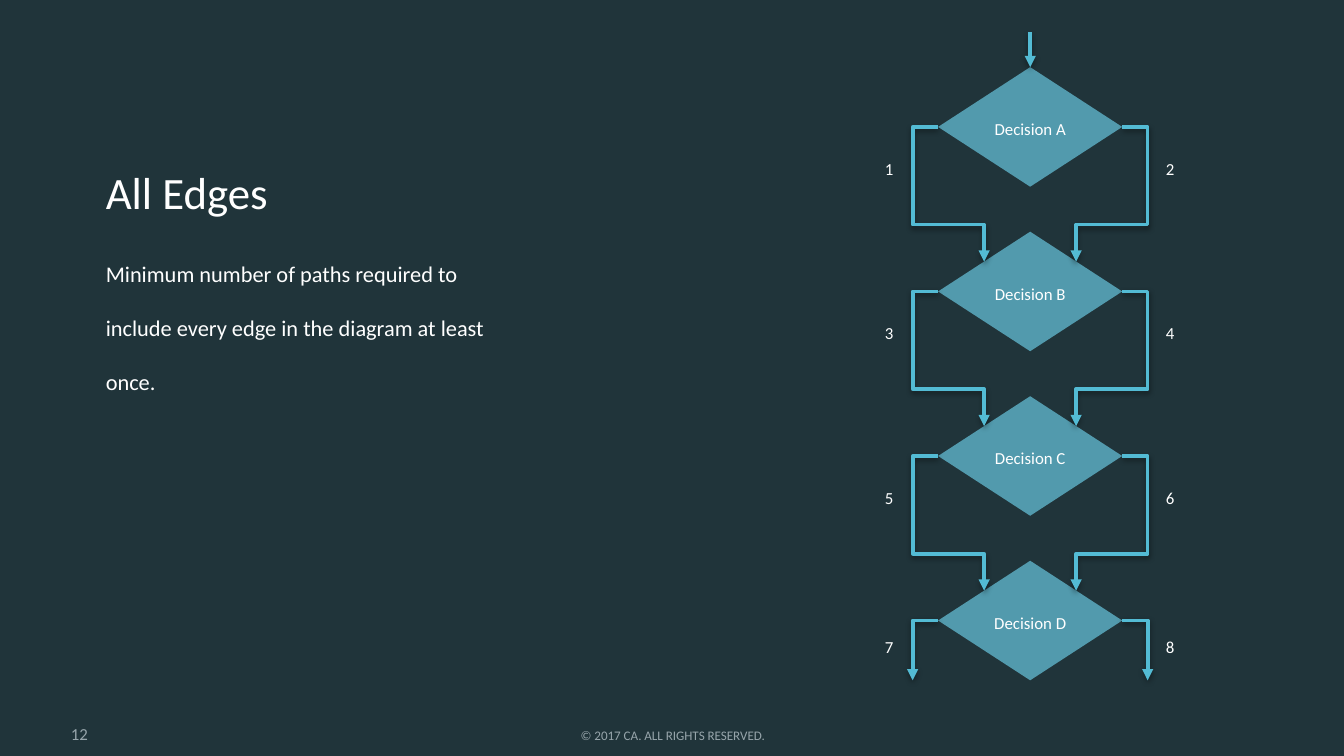
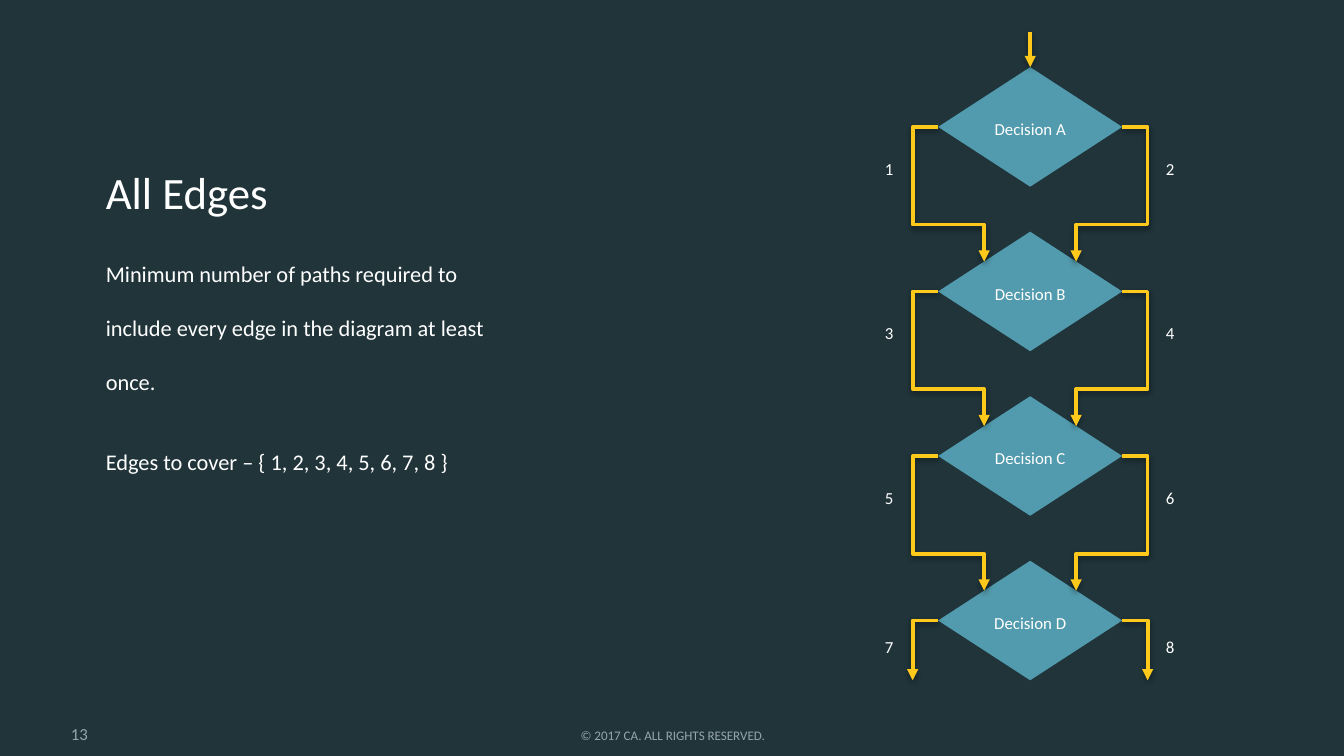
"""Build two slides on the all-edges coverage of a decision diagram."""
from dataclasses import dataclass

from lxml.etree import SubElement
from pptx import Presentation
from pptx.dml.color import RGBColor
from pptx.enum.shapes import MSO_CONNECTOR, MSO_SHAPE
from pptx.enum.text import MSO_ANCHOR, PP_ALIGN
from pptx.oxml import parse_xml
from pptx.oxml.ns import nsdecls, qn
from pptx.util import Cm, Pt


@dataclass(frozen=True)
class Theme:
    font: str = "Calibri"
    background: str = "20343A"
    text: str = "FFFFFF"
    muted: str = "97A5AB"
    diamond: str = "529AAD"
    blue: str = "53BBD4"
    yellow: str = "FFC91C"
    title_size: float = 24
    body_size: float = 12
    label_size: float = 9
    footer_size: float = 7
    line_width: float = 2


THEME = Theme()

TITLE = "All Edges"
DEFINITION = "Minimum number of paths required to include every edge in the diagram at least once."
FOOTER = "© 2017 CA. ALL RIGHTS RESERVED."
SLIDES = [
    {"number": 12, "body": [DEFINITION], "edge_color": THEME.blue},
    {"number": 13, "body": [DEFINITION, "Edges to cover – { 1, 2, 3, 4, 5, 6, 7, 8 }"],
     "edge_color": THEME.yellow},
]
DECISIONS = [
    ("Decision A", "1", "2"),
    ("Decision B", "3", "4"),
    ("Decision C", "5", "6"),
    ("Decision D", "7", "8"),
]

NUMBER_AREA = (1.09, 13.49, 1.47, 0.69)
FOOTER_AREA = (3.48, 13.49, 18.47, 0.69)
TITLE_AREA = (1.75, 3.1, 8.2, 1.17)
BODY_AREA = (1.75, 4.29, 8.2, 7.95)

DIAMOND_LEFT, DIAMOND_TOP, DIAMOND_STEP = 17.73, 1.27, 3.11
DIAMOND_WIDTH, DIAMOND_HEIGHT = 3.48, 2.26
ENTRY_TOP = 0.61
RAIL_GAP = 0.48
ELBOW_SHARE = 0.725
LABEL_WIDTH, LABEL_HEIGHT = 0.89, 1.14
LABEL_LEFTS = (16.36, 21.67)
LABEL_DROP, LAST_LABEL_DROP = 1.35, 1.06

DIAMOND_FRAME = {"margin_left": Cm(0.18), "margin_right": Cm(0.18), "margin_top": Cm(0.18),
                 "margin_bottom": Cm(0.18), "vertical_anchor": MSO_ANCHOR.MIDDLE}
LABEL_FRAME = {"margin_top": Cm(0.18), "margin_bottom": Cm(0.18), "word_wrap": False,
               "vertical_anchor": MSO_ANCHOR.MIDDLE}
BOTTOM_FRAME = {"vertical_anchor": MSO_ANCHOR.BOTTOM}
CENTERED = {"alignment": PP_ALIGN.CENTER}
SHADOW = (
    f'<a:effectLst {nsdecls("a")}><a:outerShdw blurRad="39400" dist="20300" dir="5400000" '
    'rotWithShape="0"><a:srgbClr val="000000"><a:alpha val="38000"/></a:srgbClr>'
    "</a:outerShdw></a:effectLst>"
)


def apply_format(target, values):
    for name, value in values.items():
        setattr(target, name, value)


def write_text(shape, lines, size, color=THEME.text, frame=None, layout=None, gap=0):
    text_frame = shape.text_frame
    apply_format(text_frame, {"word_wrap": True, **(frame or {})})
    for index, line in enumerate(lines):
        para = text_frame.add_paragraph() if index else text_frame.paragraphs[0]
        apply_format(para, layout or {})
        if index:
            para.space_before = Pt(gap)
        span = para.add_run()
        span.text = line
        apply_format(span.font, {"name": THEME.font, "size": Pt(size)})
        span.font.color.rgb = RGBColor.from_string(color)


def add_text(page, area, lines, size, **style):
    box = page.shapes.add_textbox(*map(Cm, area))
    write_text(box, lines, size, **style)


def add_diamond(page, name, top):
    diamond = page.shapes.add_shape(
        MSO_SHAPE.DIAMOND, *map(Cm, (DIAMOND_LEFT, top, DIAMOND_WIDTH, DIAMOND_HEIGHT)))
    diamond.shadow.inherit = False
    diamond.fill.solid()
    diamond.fill.fore_color.rgb = RGBColor.from_string(THEME.diamond)
    diamond.line.fill.background()
    write_text(diamond, [name], THEME.label_size, frame=DIAMOND_FRAME,
               layout={**CENTERED, "line_spacing": Pt(12.9)})
    return diamond


def add_edge(page, start, end, color, preset="line", adjustments=()):
    kind = MSO_CONNECTOR.STRAIGHT if preset == "line" else MSO_CONNECTOR.ELBOW
    edge = page.shapes.add_connector(kind, *map(Cm, (*start, *end)))
    edge.line.color.rgb = RGBColor.from_string(color)
    edge.line.width = Pt(THEME.line_width)
    properties = edge._element.spPr
    geometry = properties.find(qn("a:prstGeom"))
    geometry.set("prst", preset)
    guides = geometry.find(qn("a:avLst"))
    for index, share in enumerate(adjustments, 1):
        SubElement(guides, qn("a:gd"), name=f"adj{index}", fmla=f"val {round(share * 100000)}")
    SubElement(properties.find(qn("a:ln")), qn("a:tailEnd"), type="triangle")
    properties.append(parse_xml(SHADOW))
    return edge


def add_diagram(page, color):
    tops = [DIAMOND_TOP + DIAMOND_STEP * index for index in range(len(DECISIONS))]
    diamonds = [add_diamond(page, names[0], top) for names, top in zip(DECISIONS, tops)]
    center = DIAMOND_LEFT + DIAMOND_WIDTH / 2
    entry = add_edge(page, (center, ENTRY_TOP), (center, DIAMOND_TOP), color)
    entry.end_connect(diamonds[0], 0)
    quarter = DIAMOND_WIDTH / 4
    for (_, *labels), top in zip(DECISIONS, tops):
        is_last = top == tops[-1]
        middle = top + DIAMOND_HEIGHT / 2
        label_top = top + (LAST_LABEL_DROP if is_last else LABEL_DROP)
        for side, label, label_left in zip((-1, 1), labels, LABEL_LEFTS):
            corner = center + side * DIAMOND_WIDTH / 2
            if is_last:
                end = (corner + side * RAIL_GAP, top + DIAMOND_HEIGHT)
                add_edge(page, (corner, middle), end, color, "bentConnector2")
            else:
                end = (corner - side * quarter, top + DIAMOND_STEP + DIAMOND_HEIGHT / 4)
                add_edge(page, (corner, middle), end, color, "bentConnector4",
                         (-RAIL_GAP / quarter, ELBOW_SHARE))
            add_text(page, (label_left, label_top, LABEL_WIDTH, LABEL_HEIGHT), [label],
                     THEME.label_size, frame=LABEL_FRAME, layout=CENTERED)


def add_page(deck, number, body, edge_color):
    page = deck.slides.add_slide(deck.slide_layouts[6])
    page.background.fill.solid()
    page.background.fill.fore_color.rgb = RGBColor.from_string(THEME.background)
    add_text(page, NUMBER_AREA, [str(number)], THEME.label_size, color=THEME.muted,
             frame=BOTTOM_FRAME)
    add_text(page, FOOTER_AREA, [FOOTER], THEME.footer_size, color=THEME.muted,
             frame=BOTTOM_FRAME, layout=CENTERED)
    add_text(page, TITLE_AREA, [TITLE], THEME.title_size, frame=BOTTOM_FRAME,
             layout={"line_spacing": 0.9})
    add_text(page, BODY_AREA, body, THEME.body_size, gap=12,
             layout={"line_spacing": Pt(28.8), "space_after": Pt(2)})
    add_diagram(page, edge_color)


def main():
    deck = Presentation()
    apply_format(deck, {"slide_width": Cm(25.4), "slide_height": Cm(14.29)})
    for content in SLIDES:
        add_page(deck, **content)
    deck.save("out.pptx")


if __name__ == "__main__":
    main()
